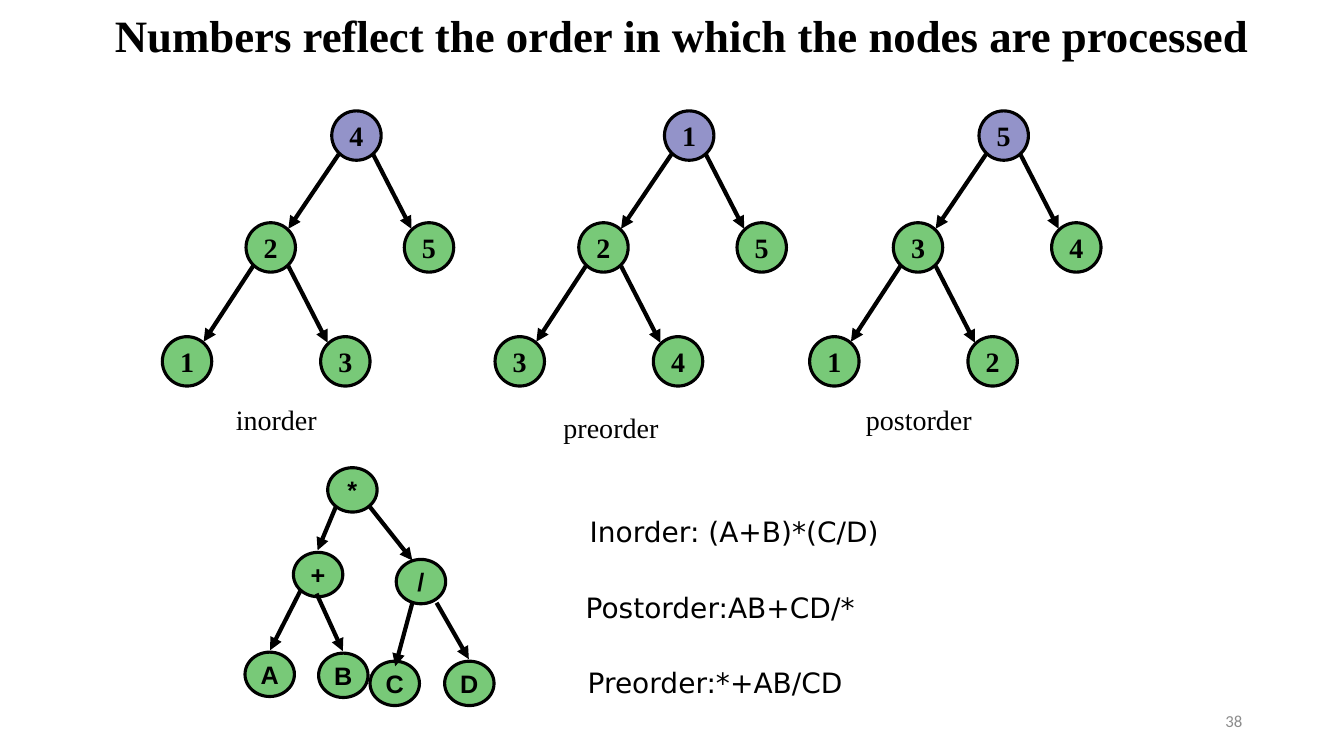
import pptx
import pptx.util
import pptx.dml.color
import pptx.enum.shapes
import pptx.enum.text
import pptx.oxml
import pptx.oxml.ns

RGB = pptx.dml.color.RGBColor
BLACK = RGB(0, 0, 0)
GRAY = RGB(0x8C, 0x8C, 0x8C)
BLUE = RGB(0x33, 0x33, 0x99)
GREEN = RGB(0, 0x99, 0)
SERIF, SANS, PLAIN = "Times New Roman", "Arial", "DejaVu Sans"
ALIGN = pptx.enum.text.PP_ALIGN
ANCHOR = pptx.enum.text.MSO_ANCHOR
SIZE = 49  # node width

# Trees: node spots (left, top) and arrows (x1, y1, x2, y2)
SPOTS = [(329, 110), (244, 221), (401, 221), (161, 334), (318, 334)]
ARROWS = [(336, 153, 286, 227), (370, 153, 408, 227),
          (251, 264, 202, 339), (286, 264, 325, 340)]
TREES = [(0, "42513"), (330, "12534"), (642, "53412")]

# Expression tree
TERMS = [("*", 325, 464), ("+", 291, 548), ("/", 393, 555), ("C", 367, 656),
         ("B", 316, 648), ("A", 243, 647), ("D", 441, 656)]
LINKS = [(333, 503, 315, 546), (367, 503, 409, 556), (409, 598, 392, 661),
         (314, 589, 340, 646), (298, 586, 268, 645), (433, 598, 465, 654)]

# Captions: text, left, top, width, height, font, wrap
NOTES = [("inorder", 224, 394, 101, 44, SERIF, False),
         ("preorder", 549, 402, 140, 43, SERIF, True),
         ("postorder", 849, 394, 126, 44, SERIF, False),
         ("Inorder: (A+B)*(C/D)", 575, 506, 329, 43, PLAIN, True),
         ("Postorder:AB+CD/*", 571, 581, 298, 43, PLAIN, True),
         ("Preorder:*+AB/CD", 573, 655, 408, 43, PLAIN, True)]


def px(n):
    """Turn px (100 to the inch) into EMU."""
    return pptx.util.Emu(n * 9144)


def box(*nums):
    return [px(n) for n in nums]


def write(shape, text, size, face, color=BLACK, bold=False,
          align=ALIGN.LEFT, anchor=ANCHOR.MIDDLE, wrap=True):
    frame = shape.text_frame
    frame.text = text
    frame.word_wrap = wrap
    frame.vertical_anchor = anchor
    para = frame.paragraphs[0]
    para.alignment = align
    font = para.runs[0].font
    font.size = pptx.util.Pt(size)
    font.name = face
    font.bold = bold
    font.color.rgb = color


def node(group, text, x, y, high, color, size, face):
    kind = pptx.enum.shapes.MSO_SHAPE.FLOWCHART_CONNECTOR
    shape = group.shapes.add_shape(kind, *box(x, y, SIZE, high))
    shape.shadow.inherit = False
    shape.fill.solid()
    shape.fill.fore_color.rgb = color
    tint = shape.fill._xPr.find(".//" + pptx.oxml.ns.qn("a:srgbClr"))
    alpha = pptx.oxml.parse_xml(
        "<a:alpha %s val='53000'/>" % pptx.oxml.ns.nsdecls("a"))
    tint.append(alpha)
    shape.line.color.rgb = BLACK
    shape.line.width = pptx.util.Pt(2.25)
    write(shape, text, size, face, bold=True, align=ALIGN.CENTER, wrap=False)


def arrow(group, *ends):
    kind = pptx.enum.shapes.MSO_CONNECTOR.STRAIGHT
    line = group.shapes.add_connector(kind, *box(*ends))
    line.line.color.rgb = BLACK
    line.line.width = pptx.util.Pt(3)
    names = pptx.oxml.ns.nsdecls("a")
    line.line._ln.append(
        pptx.oxml.parse_xml("<a:tailEnd %s type='triangle'/>" % names))
    line._element.spPr.append(
        pptx.oxml.parse_xml("<a:effectLst %s/>" % names))


def tree(slide, shift, marks):
    group = slide.shapes.add_group_shape()
    for i, (mark, (x, y)) in enumerate(zip(marks, SPOTS)):
        color = GREEN if i else BLUE
        node(group, mark, x + shift, y, SIZE, color, 20, SERIF)
    for x1, y1, x2, y2 in ARROWS:
        arrow(group, x1 + shift, y1, x2 + shift, y2)


def terms(slide):
    group = slide.shapes.add_group_shape()
    for mark, x, y in TERMS:
        node(group, mark, x, y, 44, GREEN, 18, SANS)
    for ends in LINKS:
        arrow(group, *ends)


def main():
    deck = pptx.Presentation()
    deck.slide_width, deck.slide_height = box(1333, 750)
    slide = deck.slides.add_slide(deck.slide_layouts[5])

    # Title
    title = slide.shapes.title
    title.left, title.top, title.width, title.height = box(50, 0, 1253, 69)
    write(title, "Numbers reflect the order in which the nodes are processed",
          32, SERIF, bold=True, align=ALIGN.CENTER)

    # Trees
    for shift, marks in TREES:
        tree(slide, shift, marks)
    terms(slide)

    # Captions and results
    for text, x, y, wide, high, face, wrap in NOTES:
        note = slide.shapes.add_textbox(*box(x, y, wide, high))
        write(note, text, 20, face, anchor=ANCHOR.TOP, wrap=wrap)

    # Slide number
    page = slide.shapes.add_textbox(*box(942, 695, 300, 40))
    write(page, "38", 12, "Calibri", GRAY, align=ALIGN.RIGHT)

    deck.save("out.pptx")


if __name__ == "__main__":
    main()
